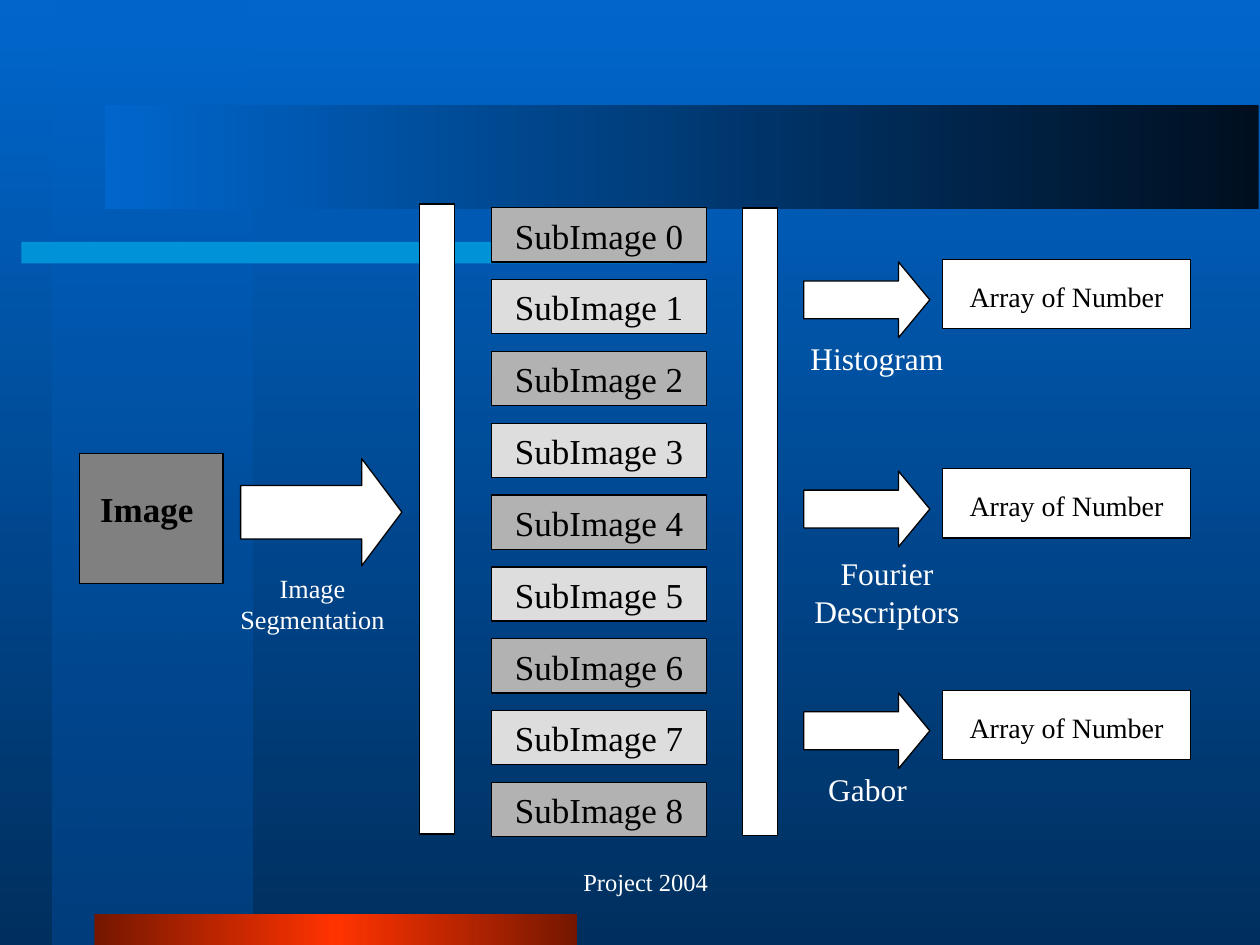
from lxml import etree
from pptx import Presentation
from pptx.dml.color import RGBColor
from pptx.enum.shapes import MSO_SHAPE
from pptx.enum.text import MSO_ANCHOR, PP_ALIGN
from pptx.oxml.ns import qn
from pptx.util import Inches, Pt

RECTANGLE, RIGHT_ARROW = MSO_SHAPE.RECTANGLE, MSO_SHAPE.RIGHT_ARROW
TOP, MIDDLE = MSO_ANCHOR.TOP, MSO_ANCHOR.MIDDLE
CENTER = PP_ALIGN.CENTER

# Content
SOURCE = "Image "
SEGMENTATION = "Image Segmentation"
SUBIMAGES = [f"SubImage {number}" for number in range(9)]
RESULT = "Array of Number"
FOOTER = "Project 2004"
# Feature name, top of its result box, place of its label
FEATURES = [
    ("Histogram", 2.06, (6.32, 2.64, 1.28, 0.51)),
    ("Fourier Descriptors", 3.72, (6.32, 4.35, 1.44, 0.71)),
    ("Gabor", 5.48, (6.46, 6.06, 0.85, 0.32)),
]

THEME = {
    "font": "Times New Roman",
    "white": "FFFFFF", "black": "000000", "image": "808080",
    "subimages": ("B2B2B2", "DDDDDD"),
    "accent": "00CCFF",
    "outline": 0.75,
    "box_size": 20, "label_size": 18, "result_size": 16,
    "segmentation_size": 15, "footer_size": 14,
}
# Gradient stops: position, colour, opacity in percent
BACKGROUND = [(0, "0066CC", 100), (100, "002F5E", 100)]
STRIP = [(0, "0066CC", 50), (100, "003E7D", 100)]
RED_BAR = [(0, "751700", 100), (50, "FF3300", 100), (100, "751700", 100)]
TITLE_BAND = [(0, "000F1F", 100), (100, "0066CC", 100)]
DOWNWARD, LEFTWARD = 270, 180

# Layout
SUBIMAGE_LEFT, SUBIMAGE_TOP, SUBIMAGE_STEP = 3.9, 1.65, 0.57
SUBIMAGE_SIZE = (1.71, 0.43)
BARS = [(3.33, 1.62, 0.28, 5), (5.89, 1.65, 0.28, 4.98)]


def set_opacity(color, percent):
    if percent < 100:
        etree.SubElement(color, qn("a:alpha")).set("val", str(percent * 1000))


def fill_gradient(fill, element, stops, angle):
    fill.gradient()
    fill.gradient_angle = angle
    stop_list = element.find(".//" + qn("a:gsLst"))
    for old_stop in list(stop_list):
        stop_list.remove(old_stop)
    for position, color, opacity in stops:
        stop = etree.SubElement(stop_list, qn("a:gs"), pos=str(position * 1000))
        set_opacity(etree.SubElement(stop, qn("a:srgbClr"), val=color), opacity)


def add_shape(slide, place, color=None, kind=RECTANGLE, outlined=True):
    shape = slide.shapes.add_shape(kind, *map(Inches, place))
    shape.shadow.inherit = False
    if color:
        shape.fill.solid()
        shape.fill.fore_color.rgb = RGBColor.from_string(color)
    if outlined:
        shape.line.color.rgb = RGBColor.from_string(THEME["black"])
        shape.line.width = Pt(THEME["outline"])
    else:
        shape.line.fill.background()
    return shape


def add_arrow(slide, place, head):
    arrow = add_shape(slide, place, THEME["white"], RIGHT_ARROW)
    arrow.adjustments[0], arrow.adjustments[1] = 0.5, head


def write(shape, text, size, color, bold=False, anchor=TOP, inset=0.05):
    frame = shape.text_frame
    frame_format = {
        "word_wrap": True, "vertical_anchor": anchor,
        "margin_left": Inches(0.1), "margin_right": Inches(0.1),
        "margin_top": Inches(inset), "margin_bottom": Inches(0),
    }
    for name, value in frame_format.items():
        setattr(frame, name, value)
    paragraph = frame.paragraphs[0]
    paragraph.alignment = CENTER
    run = paragraph.add_run()
    run.text = text
    font_format = {"name": THEME["font"], "size": Pt(size), "bold": bold}
    for name, value in font_format.items():
        setattr(run.font, name, value)
    run.font.color.rgb = RGBColor.from_string(color)
    return paragraph


def add_label(slide, place, text, size, **options):
    label = slide.shapes.add_textbox(*map(Inches, place))
    return write(label, text, size, THEME["white"], **options)


def add_backdrop(slide):
    fill_gradient(slide.background.fill, slide.element, BACKGROUND, DOWNWARD)

    def add_gradient_bar(place, stops, angle):
        bar = add_shape(slide, place, outlined=False)
        fill_gradient(bar.fill, bar.element, stops, angle)

    add_gradient_bar((0.42, 0, 1.58, 7.5), STRIP, DOWNWARD)
    accent = add_shape(slide, (0.17, 1.92, 5.17, 0.17), THEME["accent"], outlined=False)
    set_opacity(accent.element.spPr.find(".//" + qn("a:srgbClr")), 50)
    add_gradient_bar((0.75, 7.25, 3.83, 0.25), RED_BAR, LEFTWARD)
    add_gradient_bar((0.83, 0.83, 9.16, 0.83), TITLE_BAND, LEFTWARD)


def add_diagram(slide):
    # Source image and its segmentation
    image = add_shape(slide, (0.63, 3.6, 1.14, 1.03), THEME["image"])
    write(image, SOURCE, THEME["box_size"], THEME["black"], bold=True, inset=0.27)
    add_arrow(slide, (1.91, 3.64, 1.28, 0.85), 0.375)
    add_label(slide, (1.77, 4.49, 1.42, 0.57), SEGMENTATION, THEME["segmentation_size"])

    # Subimages between two bars
    for place in BARS:
        add_shape(slide, place, THEME["white"])
    for index, name in enumerate(SUBIMAGES):
        top = SUBIMAGE_TOP + index * SUBIMAGE_STEP
        color = THEME["subimages"][index % 2]
        box = add_shape(slide, (SUBIMAGE_LEFT, top, *SUBIMAGE_SIZE), color)
        write(box, name, THEME["box_size"], THEME["black"])

    # Features and their results
    for name, top, label_place in FEATURES:
        add_arrow(slide, (6.38, top + 0.02, 1, 0.6), 0.414)
        add_label(slide, label_place, name, THEME["label_size"])
        result = add_shape(slide, (7.48, top, 1.97, 0.55), THEME["white"])
        write(result, RESULT, THEME["result_size"], THEME["black"], inset=0.16)


def add_footer(slide):
    paragraph = add_label(slide, (3.42, 6.75, 3.17, 0.5), FOOTER,
                          THEME["footer_size"], anchor=MIDDLE, inset=0)
    properties = paragraph._p.get_or_add_pPr()
    properties.set("marL", str(Inches(0.24)))
    properties.set("indent", "0")


def main():
    presentation = Presentation()
    presentation.slide_width, presentation.slide_height = Inches(10), Inches(7.5)
    slide = presentation.slides.add_slide(presentation.slide_layouts[6])
    add_backdrop(slide)
    add_diagram(slide)
    add_footer(slide)
    presentation.save("out.pptx")


if __name__ == "__main__":
    main()
